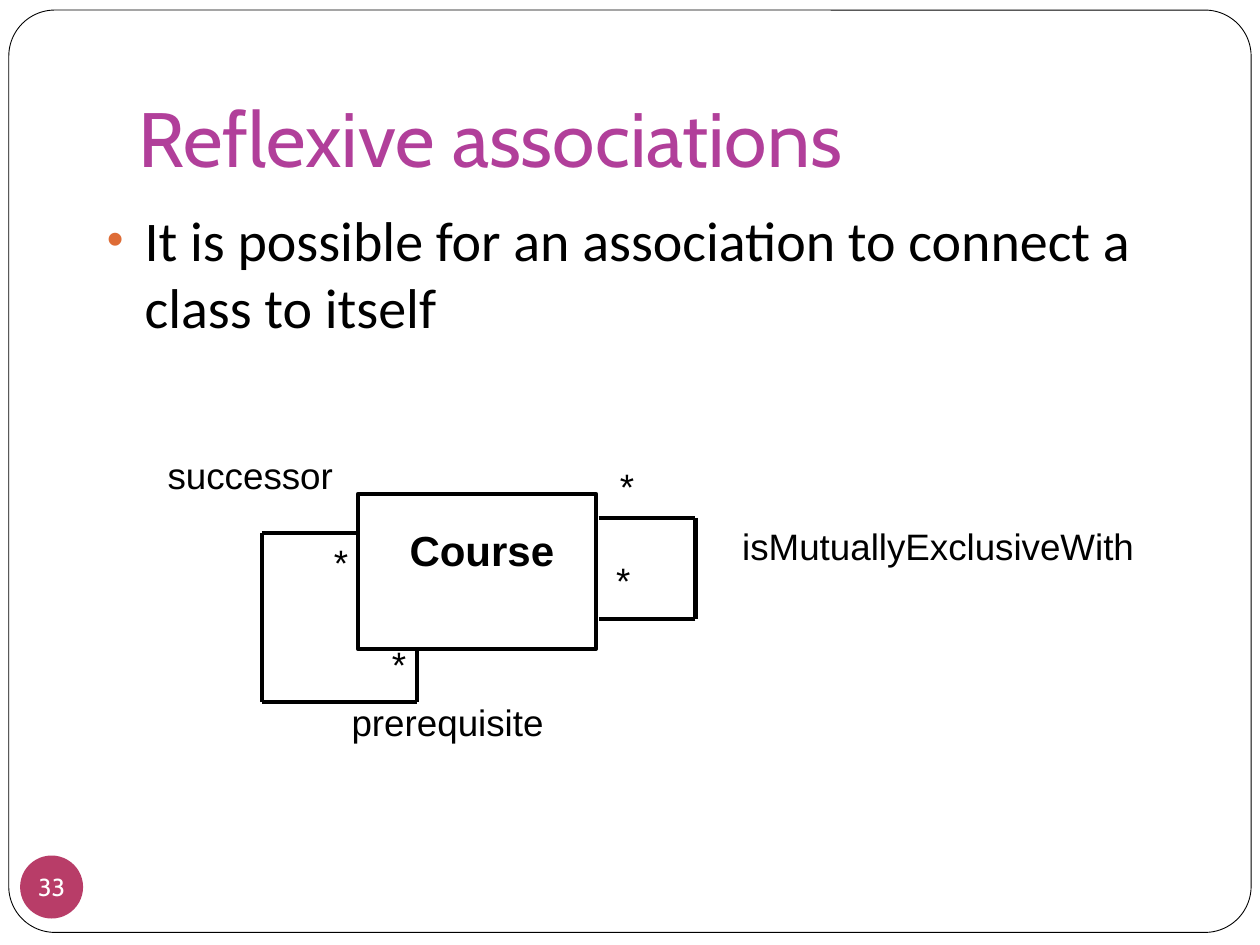
from lxml import etree
from pptx import Presentation
from pptx.dml.color import RGBColor
from pptx.enum import shapes, text
from pptx.oxml.ns import qn
from pptx.util import Inches, Pt

THEME = {
    "ink": "000000", "paper": "FFFFFF", "title": "B13F9A", "badge": "B83D68", "bullet": "DE6C36",
    "heading_font": "Cabin", "body_font": "Calibri", "diagram_font": "Arial",
    "title_size": 44, "body_size": 32, "class_size": 24, "label_size": 21, "number_size": 14,
    "frame_line": 0.5, "diagram_line": 2.38,
}

TITLE = "Reflexive associations"
BODY = "It is possible for an association to connect a class to itself"
SLIDE_NUMBER = "33"
CLASS_BOX = (2.84, 3.92, 1.89, 1.23)
CLASS_NAME = ("Course", 3.25, 4.16, 1.15)
LABELS = [  # text, left, top, width
    ("successor", 1.33, 3.59, 1.31),
    ("prerequisite", 2.79, 5.55, 1.52),
    ("isMutuallyExclusiveWith", 5.89, 4.16, 3.11),
    ("*", 4.92, 3.68, 0.11),
    ("*", 4.89, 4.43, 0.11),
    ("*", 2.65, 4.28, 0.11),
    ("*", 3.11, 5.09, 0.11),
]
ASSOCIATIONS = [  # corner points of each loop
    [(4.75, 4.11), (5.52, 4.11), (5.52, 4.91), (4.75, 4.91)],
    [(2.84, 4.23), (2.08, 4.23), (2.08, 5.57), (3.31, 5.57), (3.31, 5.14)],
]


def color(name):
    return RGBColor.from_string(THEME[name])


def inches(values):
    return [Inches(value) for value in values]


def write(shape, words, font, size, ink="ink", bold=False, align=text.PP_ALIGN.LEFT,
          anchor=text.MSO_ANCHOR.TOP, wrap=False, margins=(0, 0, 0, 0)):
    frame = shape.text_frame
    sides = ("left", "top", "right", "bottom")
    settings = {f"margin_{side}": Inches(gap) for side, gap in zip(sides, margins)}
    settings.update(word_wrap=wrap, vertical_anchor=anchor, auto_size=text.MSO_AUTO_SIZE.NONE)
    for key, value in settings.items():
        setattr(frame, key, value)
    paragraph = frame.paragraphs[0]
    paragraph.alignment = align
    run = paragraph.add_run()
    run.text = words
    for key, value in {"name": THEME[font], "size": Pt(THEME[size]), "bold": bold}.items():
        setattr(run.font, key, value)
    run.font.color.rgb = color(ink)
    return paragraph


def add_shape(parent, kind, box, fill=None, line=None):
    shape = parent.add_shape(kind, *inches(box))
    shape.shadow.inherit = False
    if fill:
        shape.fill.solid()
        shape.fill.fore_color.rgb = color(fill)
    else:
        shape.fill.background()
    if line:
        shape.line.color.rgb = color("ink")
        shape.line.width = Pt(THEME[line])
    else:
        shape.line.fill.background()
    return shape


def add_line(parent, start, end):
    line = parent.add_connector(shapes.MSO_CONNECTOR.STRAIGHT, *inches(start + end))
    line.line.color.rgb = color("ink")
    line.line.width = Pt(THEME["diagram_line"])
    etree.SubElement(line._element.spPr, qn("a:effectLst"))


def add_bullet(paragraph, indent):
    properties = paragraph._p.get_or_add_pPr()
    properties.set("marL", str(Inches(indent)))
    properties.set("indent", str(-Inches(indent)))
    bullet_color = etree.SubElement(properties, qn("a:buClr"))
    etree.SubElement(bullet_color, qn("a:srgbClr"), val=THEME["bullet"])
    etree.SubElement(properties, qn("a:buSzPct"), val="85000")
    etree.SubElement(properties, qn("a:buFont"), typeface=THEME["diagram_font"])
    etree.SubElement(properties, qn("a:buChar"), char="•")


def add_diagram(slide):
    diagram = slide.shapes.add_group_shape().shapes
    add_shape(diagram, shapes.MSO_SHAPE.RECTANGLE, CLASS_BOX, line="diagram_line")
    for points in ASSOCIATIONS:
        for start, end in zip(points, points[1:]):
            add_line(diagram, start, end)
    name, left, top, width = CLASS_NAME
    write(diagram.add_textbox(*inches((left, top, width, 0.4))), name,
          "diagram_font", "class_size", bold=True)
    for label, left, top, width in LABELS:
        write(diagram.add_textbox(*inches((left, top, width, 0.35))), label,
              "diagram_font", "label_size")


def main():
    presentation = Presentation()
    presentation.slide_width, presentation.slide_height = inches((10, 7.5))
    slide = presentation.slides.add_slide(presentation.slide_layouts[5])

    title = slide.shapes.title
    title.left, title.top, title.width, title.height = inches((1, 0.3, 8.5, 1.25))
    write(title, TITLE, "heading_font", "title_size", "title", wrap=True,
          anchor=text.MSO_ANCHOR.BOTTOM, margins=(0.1, 0.05, 0.1, 0.1))

    frame = add_shape(slide.shapes, shapes.MSO_SHAPE.ROUNDED_RECTANGLE,
                      (0.07, 0.08, 9.86, 7.32), "paper", "frame_line")
    frame.adjustments[0] = 0.05
    title._element.addprevious(frame._element)

    badge = add_shape(slide.shapes, shapes.MSO_SHAPE.OVAL, (0.16, 6.79, 0.5, 0.5), "badge")
    write(badge, SLIDE_NUMBER, "heading_font", "number_size", "paper",
          align=text.PP_ALIGN.CENTER, anchor=text.MSO_ANCHOR.MIDDLE)

    body = slide.shapes.add_textbox(*inches((0.75, 1.58, 9.06, 5.71)))
    add_bullet(write(body, BODY, "body_font", "body_size", wrap=True,
                     margins=(0.1, 0.05, 0.1, 0.05)), 0.3)
    add_diagram(slide)
    presentation.save("out.pptx")


if __name__ == "__main__":
    main()
